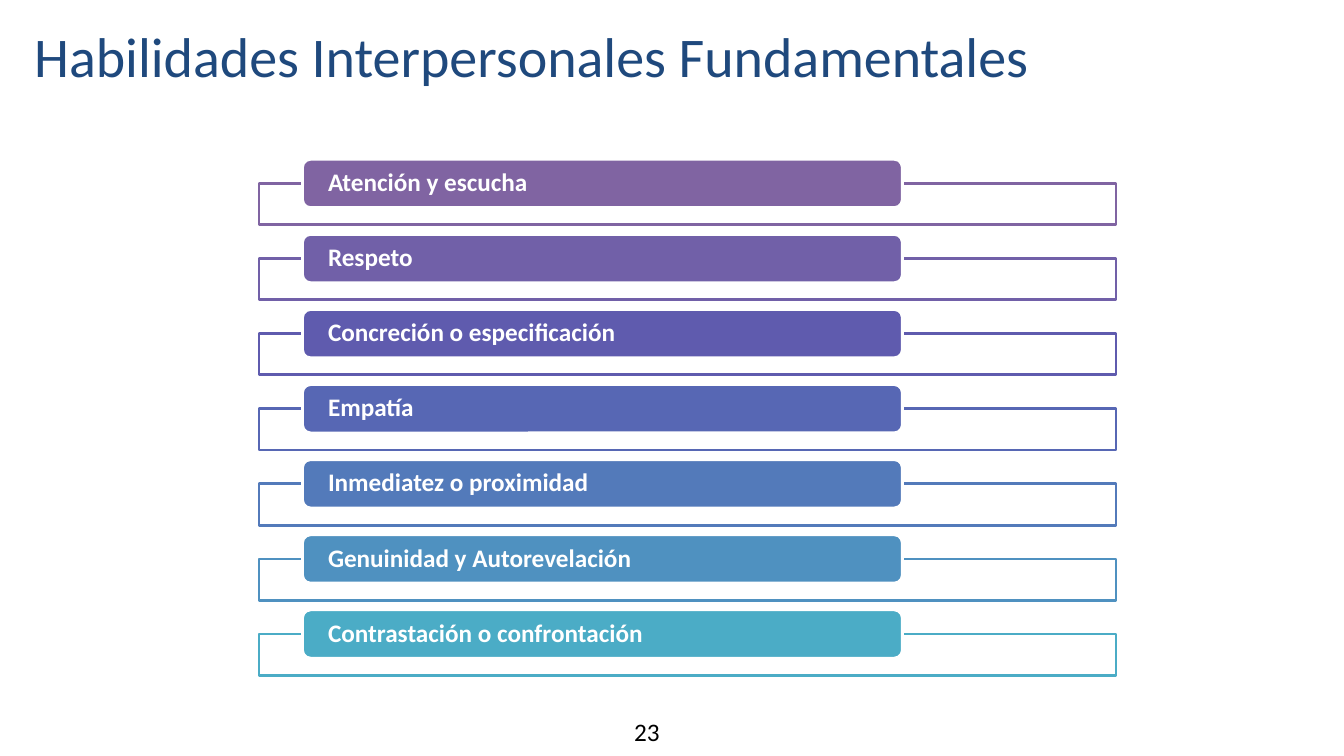
from lxml import etree
from pptx import Presentation
from pptx import util as u
from pptx.dml.color import RGBColor
from pptx.enum import shapes, text
from pptx.oxml.ns import qn

SKILLS = [
    ("Atención y escucha", "8064A2"),
    ("Respeto", "7160A8"),
    ("Concreción o especificación", "5F5BAE"),
    ("Empatía", "5767B4"),
    ("Inmediatez o proximidad", "537ABA"),
    ("Genuinidad y Autorevelación", "4F91C0"),
    ("Contrastación o confrontación", "4BACC6"),
]


def color(value):
    """Turn a hex string into a colour."""
    return RGBColor.from_string(value)


def format_font(paragraph, size, value, bold=False):
    """Set the font of every run in a paragraph."""
    for run in paragraph.runs:
        run.font.name = "Calibri"
        run.font.size = u.Pt(size)
        run.font.bold = bold
        run.font.color.rgb = color(value)


def set_margins(frame, horizontal, vertical):
    """Set equal side margins and equal top and bottom margins."""
    frame.margin_left = frame.margin_right = u.Inches(horizontal)
    frame.margin_top = frame.margin_bottom = u.Inches(vertical)


def add_box(slide, kind, box, fill, line):
    """Add a flat shape with a solid fill and a 2 pt outline."""
    shape = slide.shapes.add_shape(kind, *map(u.Inches, box))
    shape.shadow.inherit = False
    shape.fill.solid()
    shape.fill.fore_color.rgb = color(fill)
    shape.line.color.rgb = color(line)
    shape.line.width = u.Pt(2)
    return shape


def add_title(slide, box, wording):
    """Place and format the title placeholder."""
    title = slide.shapes.title
    title.left, title.top, title.width, title.height = map(u.Inches, box)
    frame = title.text_frame
    frame.text = wording
    frame.word_wrap = True
    frame.auto_size = text.MSO_AUTO_SIZE.SHAPE_TO_FIT_TEXT
    frame.vertical_anchor = text.MSO_ANCHOR.TOP
    set_margins(frame, 0, 0)
    paragraph = frame.paragraphs[0]
    paragraph.alignment = text.PP_ALIGN.CENTER
    format_font(paragraph, 40, "1F497D")


def add_skill(slide, box, wording, accent):
    """Draw one skill: an outlined strip with a rounded label over it."""
    left, top, width, height = box
    strip = add_box(slide, shapes.MSO_SHAPE.RECTANGLE,
                    (left, top + 0.24, width, height - 0.24), "FFFFFF", accent)
    fill_color = strip.fill._xPr.find(qn("a:solidFill"))[0]
    etree.SubElement(fill_color, qn("a:alpha"), val="90000")

    label = add_box(slide, shapes.MSO_SHAPE.ROUNDED_RECTANGLE,
                    (left + 0.43, top, width * 0.7, 0.48), accent, "FFFFFF")
    frame = label.text_frame
    frame.text = wording
    frame.word_wrap = True
    frame.vertical_anchor = text.MSO_ANCHOR.MIDDLE
    set_margins(frame, 0.23, 0)
    paragraph = frame.paragraphs[0]
    paragraph.alignment = text.PP_ALIGN.LEFT
    paragraph.line_spacing = 0.9
    format_font(paragraph, 18, "FFFFFF", bold=True)


def add_skill_list(slide, box, skills):
    """Stack the skills at an even pitch inside the box."""
    left, top, width, height = box
    row_height = 0.65
    pitch = (height - row_height) / (len(skills) - 1)
    for index, (wording, accent) in enumerate(skills):
        add_skill(slide, (left, top + index * pitch, width, row_height),
                  wording, accent)


def add_page_number(slide, box, number):
    """Add the page number at the foot of the slide."""
    frame = slide.shapes.add_textbox(*map(u.Inches, box)).text_frame
    frame.text = number
    frame.word_wrap = False
    frame.auto_size = text.MSO_AUTO_SIZE.SHAPE_TO_FIT_TEXT
    format_font(frame.paragraphs[0], 18, "000000")


def main():
    """Build the slide and save it."""
    presentation = Presentation()
    presentation.slide_width = u.Inches(13.33)
    presentation.slide_height = u.Inches(7.5)
    slide = presentation.slides.add_slide(presentation.slide_layouts[5])
    add_page_number(slide, (6.19, 7.06, 0.64, 0.4), "23")
    add_title(slide, (-1.29, 0.21, 13.12, 0.67),
              "Habilidades Interpersonales Fundamentales")
    add_skill_list(slide, (2.57, 1.58, 8.5, 5.12), SKILLS)
    presentation.save("out.pptx")


if __name__ == "__main__":
    main()
